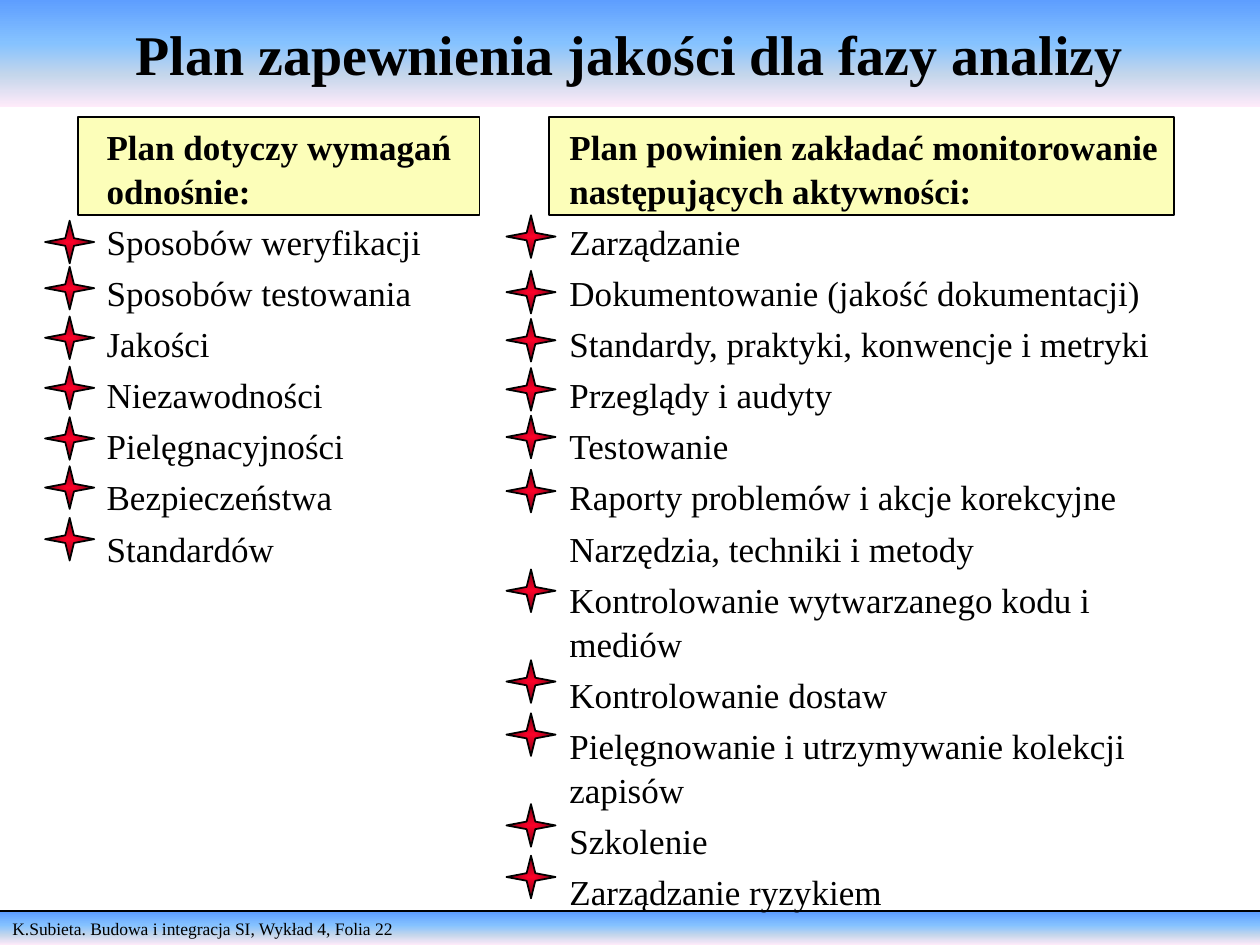
from dataclasses import dataclass

from pptx import Presentation
from pptx.dml.color import RGBColor
from pptx.enum.shapes import MSO_CONNECTOR, MSO_SHAPE
from pptx.enum.text import MSO_ANCHOR, PP_ALIGN
from pptx.oxml import parse_xml
from pptx.oxml.ns import nsdecls, qn
from pptx.util import Cm, Pt


@dataclass(frozen=True)
class Theme:
    font: str = "Times New Roman"
    ink: str = "000000"
    panel: str = "FCFEB9"
    sky: tuple = ((0, "5E9EFF"), (40, "85C2FF"), (70, "C4D6EB"), (100, "FFEBFA"))
    star: tuple = ((0, "FC0128"), (100, "750013"))
    title_size: int = 32
    body_size: int = 20
    footer_size: int = 10
    line_width: int = 1


THEME = Theme()
WIDTH, HEIGHT = 25.4, 19.05
LINEAR = '<a:lin ang="5400000" scaled="1"/>'
FROM_CENTRE = ('<a:path path="shape"><a:fillToRect l="50000" t="50000" '
               'r="50000" b="50000"/></a:path>')

REQUIREMENTS = [
    "Sposobów weryfikacji", "Sposobów testowania", "Jakości", "Niezawodności",
    "Pielęgnacyjności", "Bezpieczeństwa", "Standardów",
]
ACTIVITIES = [
    "Zarządzanie", "Dokumentowanie (jakość dokumentacji)",
    "Standardy, praktyki, konwencje i metryki", "Przeglądy i audyty",
    "Testowanie", "Raporty problemów i akcje korekcyjne",
    "Narzędzia, techniki i metody", "Kontrolowanie wytwarzanego kodu i mediów",
    "Kontrolowanie dostaw", "Pielęgnowanie i utrzymywanie kolekcji zapisów",
    "Szkolenie", "Zarządzanie ryzykiem",
]
REQUIREMENT_STARS = [4.45, 5.38, 6.38, 7.39, 8.41, 9.4, 10.44]
ACTIVITY_STARS = [4.34, 5.46, 6.43, 7.42, 8.38, 9.47,
                  11.48, 13.31, 14.38, 16.21, 17.25]


def set_gradient(sp, stops, direction):
    sp.fill.gradient()
    marks = "".join(f'<a:gs pos="{pos * 1000}"><a:srgbClr val="{color}"/></a:gs>'
                    for pos, color in stops)
    spPr = sp._element.spPr
    spPr.replace(spPr.find(qn("a:gradFill")), parse_xml(
        f'<a:gradFill rotWithShape="0" {nsdecls("a")}>'
        f'<a:gsLst>{marks}</a:gsLst>{direction}</a:gradFill>'))


def set_line(line):
    line.color.rgb = RGBColor.from_string(THEME.ink)
    line.width = Pt(THEME.line_width)


def add_shape(slide, kind, left, top, width, height):
    sp = slide.shapes.add_shape(kind, Cm(left), Cm(top), Cm(width), Cm(height))
    sp.shadow.inherit = False
    return sp


def add_text(p, text, size, bold=False, align=PP_ALIGN.LEFT):
    p.alignment = align
    r = p.add_run()
    r.text = text
    r.font.name = THEME.font
    r.font.size = Pt(size)
    r.font.bold = bold
    r.font.color.rgb = RGBColor.from_string(THEME.ink)


def add_band(slide, top, height, text, anchor, **text_format):
    """Full-width gradient bar with one line of text."""
    sp = add_shape(slide, MSO_SHAPE.RECTANGLE, 0, top, WIDTH, height)
    set_gradient(sp, THEME.sky, LINEAR)
    sp.line.fill.background()
    tf = sp.text_frame
    tf.word_wrap = True
    tf.vertical_anchor = anchor
    add_text(tf.paragraphs[0], text, **text_format)


def add_rule(slide, top):
    line = slide.shapes.add_connector(
        MSO_CONNECTOR.STRAIGHT, 0, Cm(top), Cm(WIDTH), Cm(top))
    set_line(line.line)
    line._element.spPr.append(parse_xml(f'<a:effectLst {nsdecls("a")}/>'))


def add_panel(slide, left, width):
    sp = add_shape(slide, MSO_SHAPE.RECTANGLE, left, 2.36, width, 1.98)
    sp.fill.solid()
    sp.fill.fore_color.rgb = RGBColor.from_string(THEME.panel)
    set_line(sp.line)


def add_list(slide, left, width, height, heading, items):
    box = slide.shapes.add_textbox(Cm(left), Cm(2.36), Cm(width), Cm(height))
    tf = box.text_frame
    tf.word_wrap = True
    for i, text in enumerate([heading, *items]):
        p = tf.add_paragraph() if i else tf.paragraphs[0]
        p.line_spacing = 1.05
        p.space_after = Pt(4)
        add_text(p, text, THEME.body_size, bold=i == 0)


def add_stars(slide, left, tops):
    for top in tops:
        sp = add_shape(slide, MSO_SHAPE.STAR_4_POINT, left, top, 0.99, 0.86)
        sp.adjustments[0] = 0.125
        set_gradient(sp, THEME.star, FROM_CENTRE)
        set_line(sp.line)


def main():
    prs = Presentation()
    prs.slide_width, prs.slide_height = Cm(WIDTH), Cm(HEIGHT)
    slide = prs.slides.add_slide(prs.slide_layouts[6])

    add_band(slide, 18.39, 0.66,
             "K.Subieta. Budowa i integracja SI, Wykład 4, Folia 22",
             MSO_ANCHOR.TOP, size=THEME.footer_size)
    add_rule(slide, 18.36)
    add_band(slide, 0, 2.16, "Plan zapewnienia jakości dla fazy analizy",
             MSO_ANCHOR.MIDDLE, size=THEME.title_size, bold=True,
             align=PP_ALIGN.CENTER)

    add_panel(slide, 1.57, 8.1)
    add_list(slide, 1.9, 7.77, 9.22, "Plan dotyczy wymagań odnośnie:",
             REQUIREMENTS)
    add_stars(slide, 0.91, REQUIREMENT_STARS)

    add_panel(slide, 11.07, 12.6)
    add_list(slide, 11.23, 13.16, 15.98,
             "Plan powinien zakładać monitorowanie następujących aktywności:",
             ACTIVITIES)
    add_stars(slide, 10.21, ACTIVITY_STARS)

    prs.save("out.pptx")


if __name__ == "__main__":
    main()
